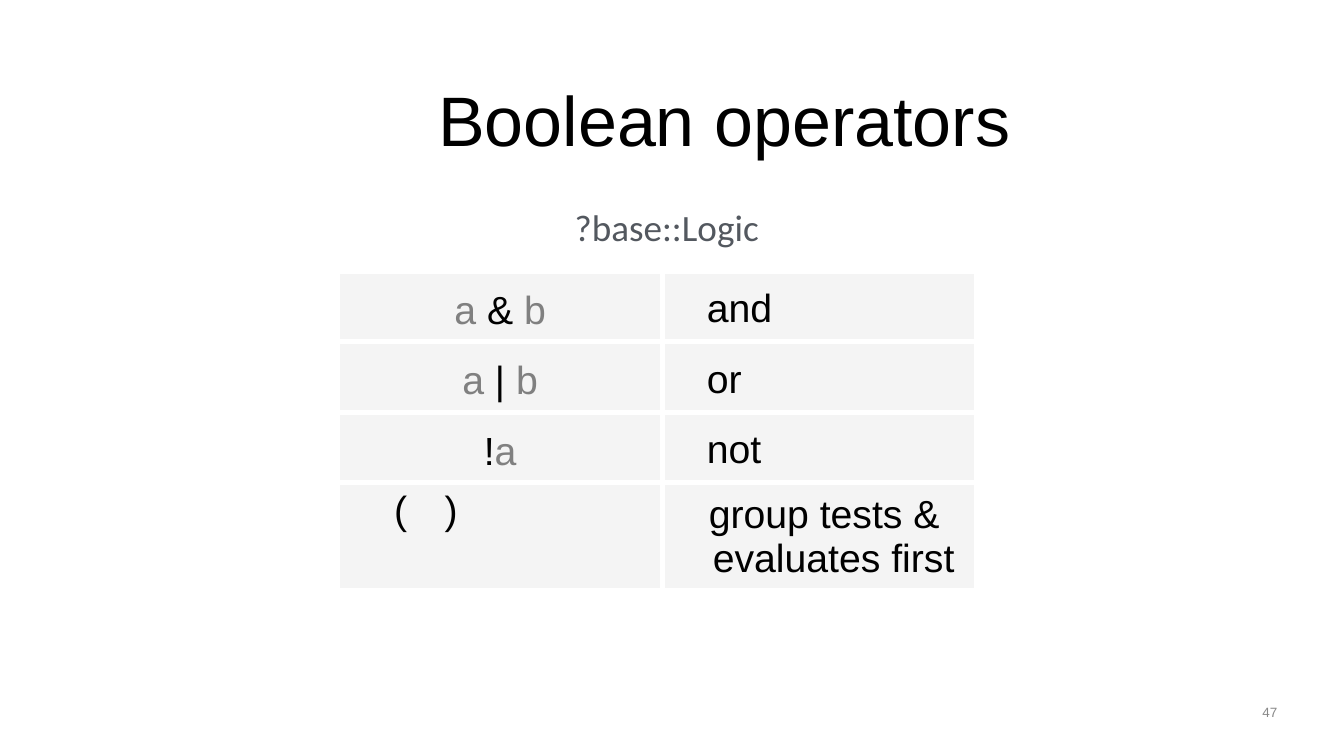
from lxml import etree
from pptx import Presentation
from pptx import util as u
from pptx.dml.color import RGBColor
from pptx.enum import text
from pptx.oxml.ns import qn

COLORS = {
    "ink": "000000",
    "operand": "808080",
    "help": "53585F",
    "number": "888888",
    "cell": "EBEBEB",
    "border": "FFFFFF",
}
LEFT, CENTER, RIGHT = text.PP_ALIGN.LEFT, text.PP_ALIGN.CENTER, text.PP_ALIGN.RIGHT
OPERATORS = [
    ([("a ", "operand"), ("& ", "ink"), ("b", "operand")], "and"),
    ([("a ", "operand"), ("| ", "ink"), ("b", "operand")], "or"),
    ([("!", "ink"), ("a", "operand")], "not"),
    ([("\t(\t)", "ink")], "group tests & evaluates first"),
]
ROW_HEIGHTS = [0.7, 0.7, 0.7, 1.07]
COLUMN_WIDTHS = [3.22, 3.12]


def rgb(name):
    return RGBColor.from_string(COLORS[name])


def set_font(font, size, color, name="Arial"):
    font.size = u.Pt(size)
    font.name = name
    font.color.rgb = rgb(color)


def place(sp, left, top, width, height):
    sp.left, sp.top = u.Inches(left), u.Inches(top)
    sp.width, sp.height = u.Inches(width), u.Inches(height)


def fill_frame(sp, words, size, color, align, font="Arial", inset_top=0.0):
    tf = sp.text_frame
    tf.word_wrap = True
    tf.auto_size = text.MSO_AUTO_SIZE.NONE
    tf.vertical_anchor = text.MSO_ANCHOR.TOP
    tf.margin_left = tf.margin_right = tf.margin_bottom = 0
    tf.margin_top = u.Inches(inset_top)
    p = tf.paragraphs[0]
    p.text = words
    p.alignment = align
    set_font(p.font, size, color, font)


def add_label(slide, box, *args, **kwargs):
    sp = slide.shapes.add_textbox(*[u.Inches(v) for v in box])
    fill_frame(sp, *args, **kwargs)


def style_cell(cell, inset_x, inset_top, inset_bottom, anchor):
    cell.margin_left = cell.margin_right = u.Inches(inset_x)
    cell.margin_top, cell.margin_bottom = u.Inches(inset_top), u.Inches(inset_bottom)
    cell.vertical_anchor = anchor
    tc_pr = cell._tc.get_or_add_tcPr()
    for side in ("lnL", "lnR", "lnT", "lnB"):
        ln = etree.SubElement(tc_pr, qn(f"a:{side}"), w=str(u.Pt(4.25)))
        solid = etree.SubElement(ln, qn("a:solidFill"))
        etree.SubElement(solid, qn("a:srgbClr"), val=COLORS["border"])
    cell.fill.solid()
    cell.fill.fore_color.rgb = rgb("cell")
    etree.SubElement(next(tc_pr.find(qn("a:solidFill")).iterchildren()),
                     qn("a:alpha"), val="50000")


def write_cell(cell, runs, align, indent=0.0, first=0.0, tabs=()):
    p = cell.text_frame.paragraphs[0]
    p.alignment = align
    p_pr = p._p.get_or_add_pPr()
    p_pr.set("marL", str(u.Inches(indent)))
    p_pr.set("indent", str(u.Inches(first)))
    if tabs:
        tab_list = etree.SubElement(p_pr, qn("a:tabLst"))
        for stop in tabs:
            etree.SubElement(tab_list, qn("a:tab"), pos=str(u.Inches(stop)), algn="l")
    p.font.size = u.Pt(28)
    p.font.name = "Arial"
    for words, color in runs:
        r = p.add_run()
        r.text = words
        set_font(r.font, 28, color)


def add_operator_table(slide):
    frame = slide.shapes.add_table(
        len(OPERATORS), 2, u.Inches(3.35), u.Inches(2.69),
        u.Inches(sum(COLUMN_WIDTHS)), u.Inches(sum(ROW_HEIGHTS)))
    table = frame.table
    table.first_row = table.horz_banding = False
    for column, width in zip(table.columns, COLUMN_WIDTHS):
        column.width = u.Inches(width)
    for i, (runs, meaning) in enumerate(OPERATORS):
        table.rows[i].height = u.Inches(ROW_HEIGHTS[i])
        symbol, words = table.cell(i, 0), table.cell(i, 1)
        if i == len(OPERATORS) - 1:
            style_cell(symbol, 0.06, 0.06, 0.06, text.MSO_ANCHOR.TOP)
            style_cell(words, 0.06, 0.06, 0.06, text.MSO_ANCHOR.MIDDLE)
            write_cell(symbol, runs, LEFT, tabs=(1.16, 1.73))
            write_cell(words, [(meaning, "ink")], LEFT, 0.44, -0.04)
        else:
            style_cell(symbol, 0, 0.08, 0, text.MSO_ANCHOR.MIDDLE)
            style_cell(words, 0, 0.05, 0, text.MSO_ANCHOR.MIDDLE)
            write_cell(symbol, runs, CENTER)
            write_cell(words, [(meaning, "ink")], LEFT, 0.44)


def main():
    prs = Presentation()
    prs.slide_width, prs.slide_height = u.Inches(13.33), u.Inches(7.5)
    slide = prs.slides.add_slide(prs.slide_layouts[5])
    title = slide.shapes.title
    place(title, 4.3, 0.75, 5.77, 0.85)
    fill_frame(title, "Boolean operators", 50, "ink", CENTER, inset_top=0.01)
    add_operator_table(slide)
    add_label(slide, (5.7, 2.02, 1.9, 0.52), "?base::Logic", 26.5, "help", LEFT,
              font="Calibri", inset_top=0.01)
    add_label(slide, (9.6, 6.98, 3.07, 0.38), "47", 9.6, "number", RIGHT)
    prs.save("out.pptx")


if __name__ == "__main__":
    main()
